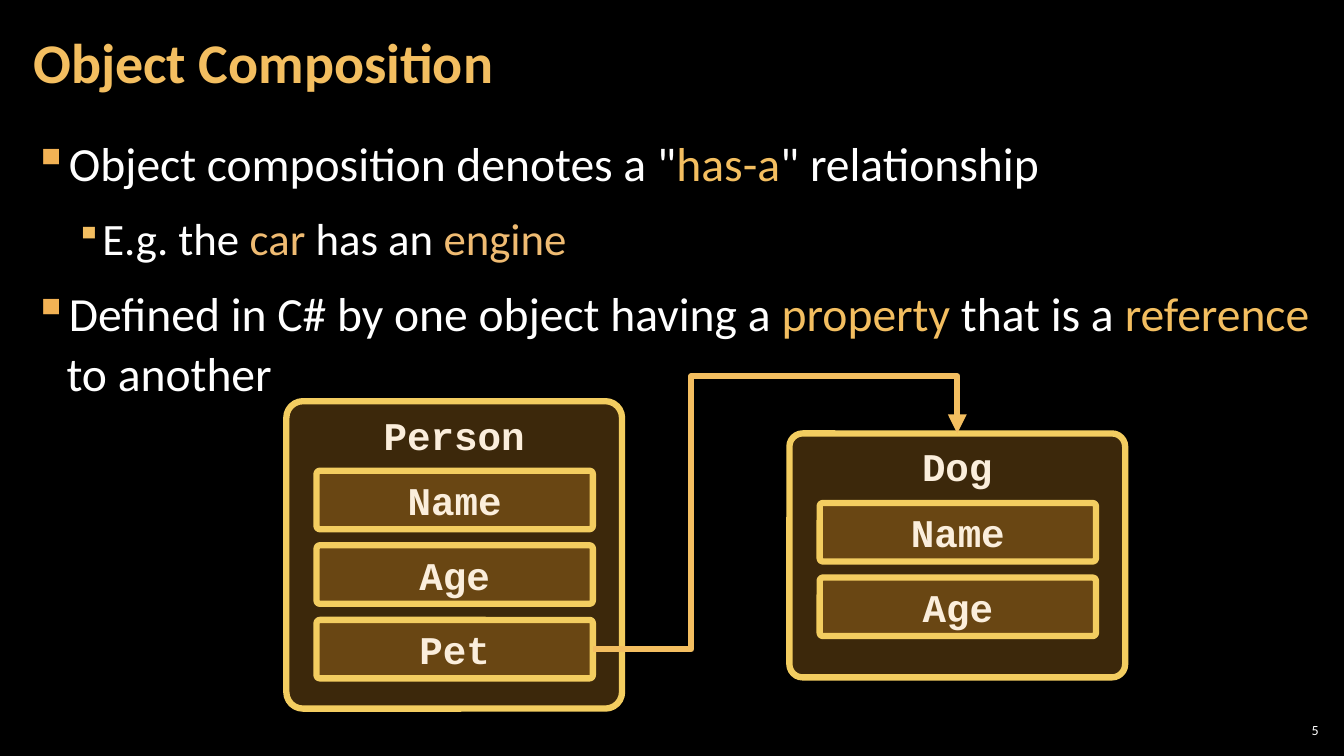
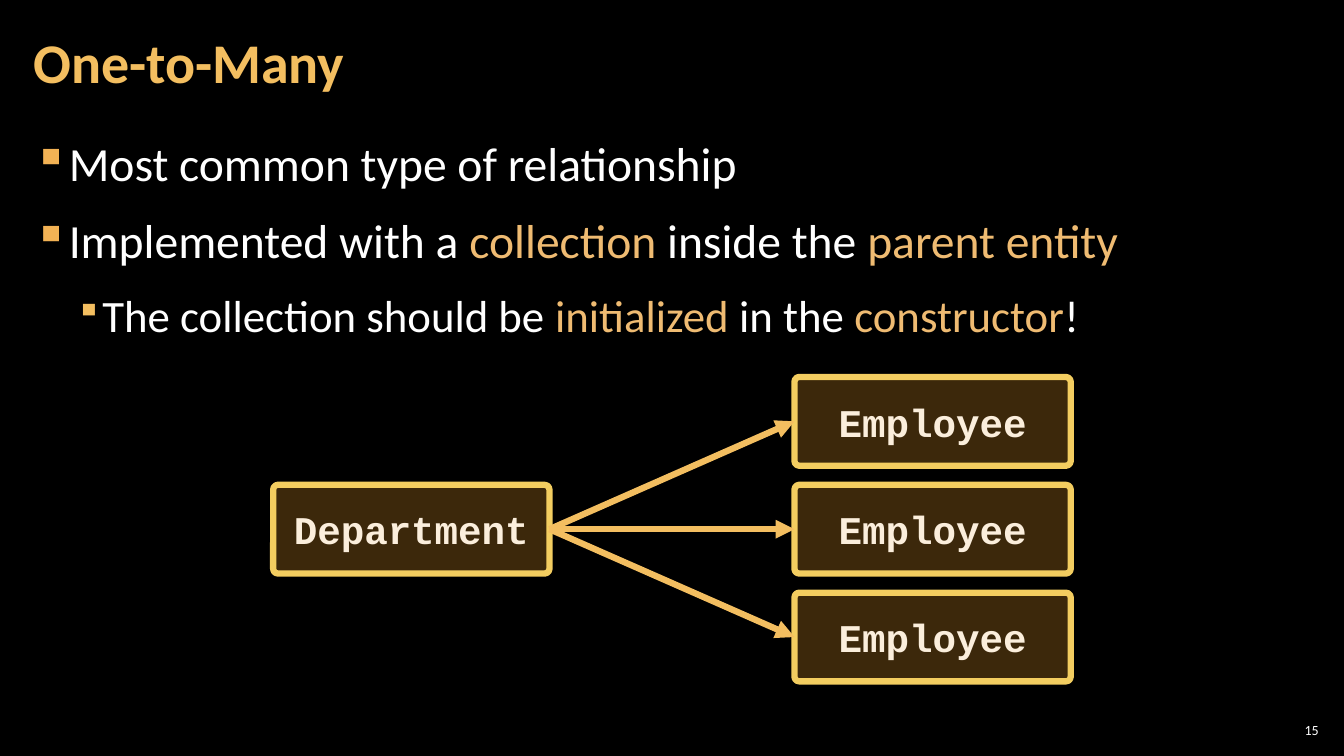
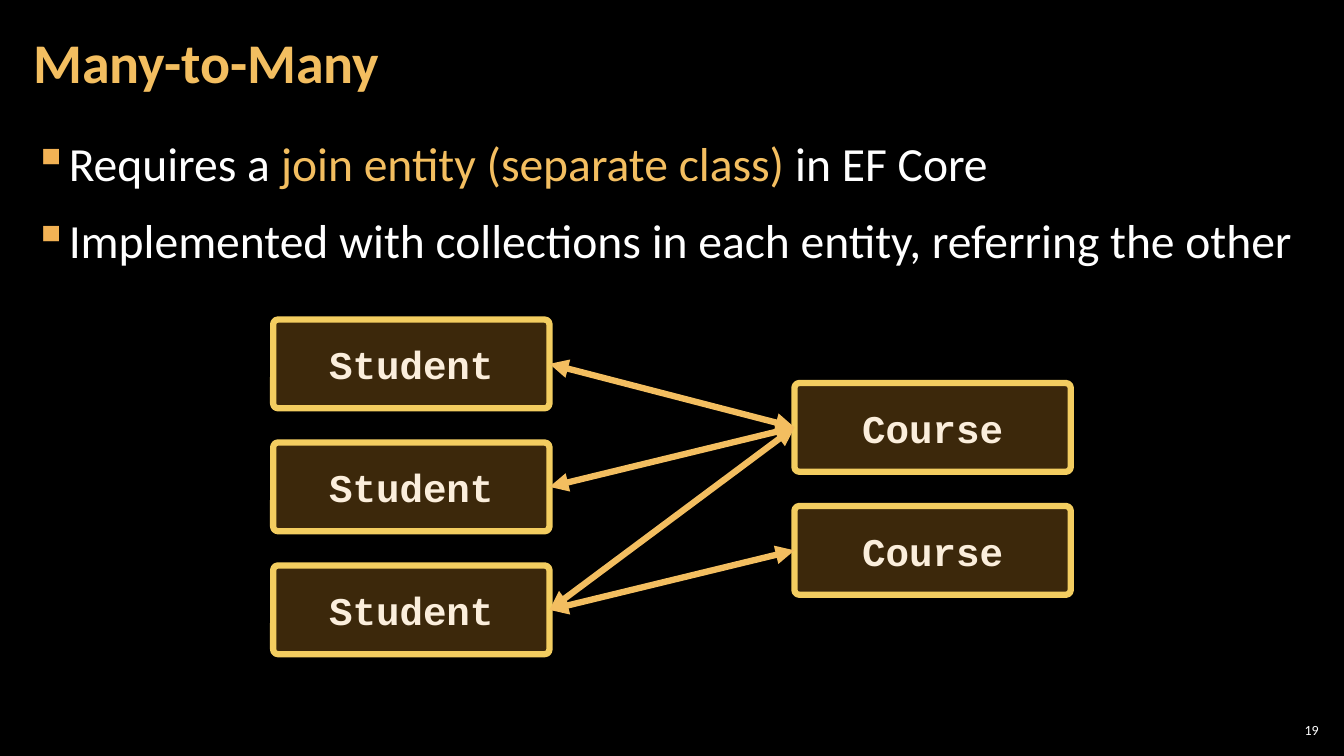
"""Three slides on object composition and entity relationships."""
from lxml import etree
from pptx import Presentation
from pptx.dml.color import RGBColor
from pptx.enum.shapes import MSO_CONNECTOR, MSO_SHAPE
from pptx.enum.text import MSO_ANCHOR, PP_ALIGN
from pptx.oxml.ns import qn
from pptx.util import Pt

EMU_PER_PX = 9144
STRAIGHT, ELBOW = MSO_CONNECTOR.STRAIGHT, MSO_CONNECTOR.ELBOW
ROUNDED = MSO_SHAPE.ROUNDED_RECTANGLE
TOP, MIDDLE = MSO_ANCHOR.TOP, MSO_ANCHOR.MIDDLE
LEFT, CENTER, RIGHT = PP_ALIGN.LEFT, PP_ALIGN.CENTER, PP_ALIGN.RIGHT
SITE_TOP, SITE_LEFT, SITE_RIGHT = 0, 1, 3
BODY_FONT, CODE_FONT = "Calibri", "Courier New"
COLORS = {
    "background": "000000",
    "text": "FFFFFF",
    "gold": "F3BE60",
    "sand": "EFBB72",
    "bullet": "F2B254",
    "box": "F0A22E",
    "border": "F3CD60",
    "label": "FBEEDC",
}
LEVELS = [
    {"size": 34, "margin": 33, "indent": -33, "bullet": "bullet", "percent": 100},
    {"size": 32, "margin": 67, "indent": -25, "bullet": "gold", "percent": 80},
]
BOX_WIDTH, BOX_HEIGHT = 274, 88
LEFT_COLUMN, RIGHT_COLUMN = 271, 788
FIELD_HEIGHT, FIELD_STEP, FIELD_INSET, FIELD_TOP = 58, 74, 30, 69


def px(value):
    return value * EMU_PER_PX


def rgb(name):
    return RGBColor.from_string(COLORS[name])


def add_child(parent, tag, **attributes):
    child = etree.SubElement(parent, qn(tag))
    for name, value in attributes.items():
        child.set(name, str(value))
    return child


def add_text(paragraph, text, size=34, color="text", font=BODY_FONT, bold=False,
             align=LEFT, spacing=None):
    paragraph.alignment = align
    if spacing:
        paragraph.line_spacing = spacing
    run = paragraph.add_run()
    run.text = text
    run.font.name = font
    run.font.size = Pt(size)
    run.font.bold = bold
    run.font.color.rgb = rgb(color)


def add_text_frame(slide, left, top, width, height, side_margin=12, anchor=TOP):
    box = slide.shapes.add_textbox(px(left), px(top), px(width), px(height))
    frame = box.text_frame
    frame.word_wrap = True
    frame.vertical_anchor = anchor
    frame.margin_left = frame.margin_right = px(side_margin)
    frame.margin_top = frame.margin_bottom = px(4)
    return frame


def add_bullet(paragraph, text, level, accent):
    style = LEVELS[level]
    paragraph.level = level
    paragraph.space_before = paragraph.space_after = Pt(6)
    for index, part in enumerate(text.split("*")):
        add_text(paragraph, part, size=style["size"], spacing=1.05,
                 color=accent if index % 2 else "text")
    properties = paragraph._p.get_or_add_pPr()
    properties.set("marL", str(px(style["margin"])))
    properties.set("indent", str(px(style["indent"])))
    bullet_color = add_child(properties, "a:buClr")
    add_child(bullet_color, "a:srgbClr", val=COLORS[style["bullet"]])
    add_child(properties, "a:buSzPct", val=style["percent"] * 1000)
    add_child(properties, "a:buChar", char="▪")


def add_content_slide(presentation, title, number, bullets):
    slide = presentation.slides.add_slide(presentation.slide_layouts[6])
    number_frame = add_text_frame(slide, 1265, 714, 47, 21, side_margin=4, anchor=MIDDLE)
    add_text(number_frame.paragraphs[0], str(number), size=10, align=RIGHT)
    body = add_text_frame(slide, 21, 126, 1291, 609)
    for index, bullet in enumerate(bullets):
        paragraph = body.add_paragraph() if index else body.paragraphs[0]
        add_bullet(paragraph, *bullet)
    title_frame = add_text_frame(slide, 21, 4, 1047, 121, anchor=MIDDLE)
    add_text(title_frame.paragraphs[0], title, size=40, color="gold", bold=True, spacing=0.9)
    return slide


def add_box(slide, text, left, top, width=BOX_WIDTH, height=BOX_HEIGHT, anchor=MIDDLE):
    shape = slide.shapes.add_shape(ROUNDED, px(left), px(top), px(width), px(height))
    shape.shadow.inherit = False
    shape.adjustments[0] = 0.054
    shape.fill.solid()
    shape.fill.fore_color.rgb = rgb("box")
    fill_color = shape.element.spPr.find(qn("a:solidFill")).find(qn("a:srgbClr"))
    add_child(fill_color, "a:alpha", val=25000)
    shape.line.color.rgb = rgb("border")
    shape.line.width = Pt(4.5)
    shape.text_frame.vertical_anchor = anchor
    add_text(shape.text_frame.paragraphs[0], text, size=28, color="label",
             font=CODE_FONT, bold=True, align=CENTER)
    return shape


def add_column(slide, text, count, left, top, step):
    return [add_box(slide, text, left, top + index * step) for index in range(count)]


def add_class_diagram(slide, name, fields, left, top, height):
    outline = add_box(slide, name, left, top, 333, height, anchor=TOP)
    boxes = [add_box(slide, field, left + FIELD_INSET, top + FIELD_TOP + index * FIELD_STEP,
                     height=FIELD_HEIGHT)
             for index, field in enumerate(fields)]
    return outline, boxes


def add_arrow(slide, source, target, kind=STRAIGHT, target_site=SITE_LEFT, two_way=False):
    connector = slide.shapes.add_connector(kind, 0, 0, 0, 0)
    connector.begin_connect(source, SITE_RIGHT)
    connector.end_connect(target, target_site)
    connector.line.color.rgb = rgb("gold")
    connector.line.width = Pt(4.5)
    properties = connector.element.spPr
    line = properties.find(qn("a:ln"))
    if two_way:
        add_child(line, "a:headEnd", type="triangle")
    add_child(line, "a:tailEnd", type="triangle")
    add_child(properties, "a:effectLst")
    return connector


def route_over_top(connector, turn, rise):
    geometry = connector.element.spPr.find(qn("a:prstGeom"))
    geometry.set("prst", "bentConnector4")
    guides = geometry.find(qn("a:avLst"))
    for index, value in enumerate((turn, rise), start=1):
        add_child(guides, "a:gd", name=f"adj{index}", fmla=f"val {value}")


def add_composition_slide(presentation):
    slide = add_content_slide(presentation, "Object Composition", 5, [
        ('Object composition denotes a "*has-a*" relationship', 0, "gold"),
        ("E.g. the *car* has an *engine*", 1, "sand"),
        ("Defined in C# by one object having a *property* that is a *reference* to another",
         0, "gold"),
    ])
    _, person_fields = add_class_diagram(slide, "Person", ["Name", "Age", "Pet"], 284, 398, 305)
    dog, _ = add_class_diagram(slide, "Dog", ["Name", "Age"], 783, 430, 242)
    arrow = add_arrow(slide, person_fields[-1], dog, kind=ELBOW, target_site=SITE_TOP)
    route_over_top(arrow, 27000, 126500)


def add_one_to_many_slide(presentation):
    slide = add_content_slide(presentation, "One-to-Many", 15, [
        ("Most common type of relationship", 0, "sand"),
        ("Implemented with a *collection* inside the *parent entity*", 0, "sand"),
        ("The collection should be *initialized* in the *constructor*!", 1, "sand"),
    ])
    department = add_box(slide, "Department", LEFT_COLUMN, 481)
    for employee in add_column(slide, "Employee", 3, RIGHT_COLUMN, 374, 107):
        add_arrow(slide, department, employee)


def add_many_to_many_slide(presentation):
    slide = add_content_slide(presentation, "Many-to-Many", 19, [
        ("Requires a *join entity (separate class) *in EF Core", 0, "gold"),
        ("Implemented with collections in each entity, referring the other", 0, "gold"),
    ])
    students = add_column(slide, "Student", 3, LEFT_COLUMN, 317, 122)
    courses = add_column(slide, "Course", 2, RIGHT_COLUMN, 380, 122)
    for student, course in [(0, 0), (1, 0), (2, 0), (2, 1)]:
        add_arrow(slide, students[student], courses[course], two_way=True)


def main():
    presentation = Presentation()
    presentation.slide_width = px(1333)
    presentation.slide_height = px(750)
    background = presentation.slide_master.background.fill
    background.solid()
    background.fore_color.rgb = rgb("background")
    add_composition_slide(presentation)
    add_one_to_many_slide(presentation)
    add_many_to_many_slide(presentation)
    presentation.save("out.pptx")


if __name__ == "__main__":
    main()
